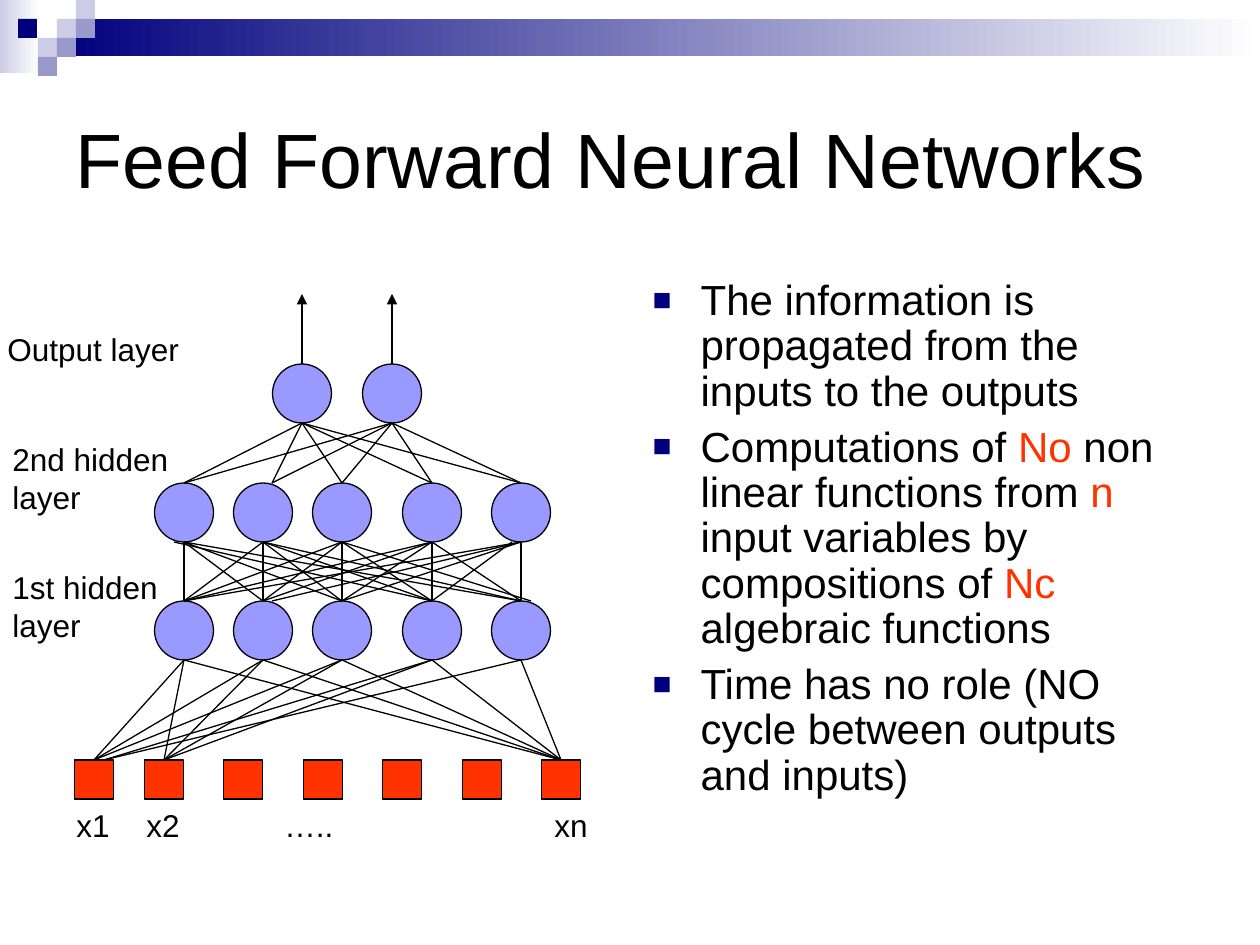
from lxml import etree
from pptx import Presentation
from pptx.dml.color import RGBColor
from pptx.enum.shapes import MSO_CONNECTOR, MSO_SHAPE
from pptx.enum.text import MSO_ANCHOR, MSO_AUTO_SIZE, PP_ALIGN
from pptx.oxml.ns import qn
from pptx.util import Pt

RECTANGLE, OVAL = MSO_SHAPE.RECTANGLE, MSO_SHAPE.OVAL
STRAIGHT = MSO_CONNECTOR.STRAIGHT
LEFT, MIDDLE, TOP = PP_ALIGN.LEFT, MSO_ANCHOR.MIDDLE, MSO_ANCHOR.TOP
NO_AUTOFIT, GROW = MSO_AUTO_SIZE.NONE, MSO_AUTO_SIZE.SHAPE_TO_FIT_TEXT

COLORS = {
    "black": "000000", "white": "FFFFFF", "navy": "00007D", "pale": "CCCCE6",
    "mid": "9999CC", "neuron": "9999FF", "red": "FF3300",
}
FONT = "Arial"
EMU_PER_PX = 914400 / 126

TITLE = "Feed Forward Neural Networks"
# Each bullet is a list of (text, color) runs
BULLETS = [
    [("The information is propagated from the inputs to the outputs", "black")],
    [("Computations of", "black"), (" No", "red"),
     (" non linear functions from ", "black"), ("n", "red"),
     (" input variables by compositions of ", "black"), ("Nc", "red"),
     (" algebraic functions", "black")],
    [("Time has no role (NO cycle between outputs and inputs)", "black")],
]

# Network geometry, relative to the diagram box
NEURON, INPUT = 59, 39
OUTPUT_CENTERS = [228, 318]
HIDDEN_CENTERS = [110, 189, 268, 358, 447]
INPUT_CENTERS = [20] + [90 + round(79.4 * i) for i in range(6)]
OUTPUT_TOP, HIDDEN2_TOP, HIDDEN1_TOP, INPUT_TOP = 70, 189, 307, 466
# Small sideways shifts of link ends: (lower, upper): (lower dx, upper dx)
OUTPUT_SHIFTS = {(1, 0): (9, 0), (1, 1): (9, 0)}
HIDDEN_SHIFTS = {(4, 2): (10, 0), (1, 4): (9, 0), (3, 0): (0, -10), (3, 4): (0, -9)}
INPUT_SHIFTS = {(0, 3): (10, 0), (0, 4): (10, 0)}


def px(value):
    return round(value * EMU_PER_PX)


def rgb(name):
    return RGBColor.from_string(COLORS[name])


def style_font(font, size, color="black"):
    font.name, font.size = FONT, Pt(size)
    font.color.rgb = rgb(color)


def add_block(slide, kind, left, top, width, height, fill, outlined=False):
    shape = slide.shapes.add_shape(kind, px(left), px(top), px(width), px(height))
    shape.shadow.inherit = False
    if isinstance(fill, tuple):
        shape.fill.gradient()
        shape.fill.gradient_angle = 0
        for stop, color, position in zip(shape.fill.gradient_stops, fill, (0, 1)):
            stop.color.rgb = rgb(color)
            stop.position = position
    else:
        shape.fill.solid()
        shape.fill.fore_color.rgb = rgb(fill)
    if outlined:
        shape.line.color.rgb = rgb("black")
        shape.line.width = Pt(0.75)
    else:
        shape.line.fill.background()


def add_line(slide, x1, y1, x2, y2, arrow=False):
    line = slide.shapes.add_connector(STRAIGHT, px(x1), px(y1), px(x2), px(y2))
    line.line.color.rgb = rgb("black")
    line.line.width = Pt(0.75)
    if arrow:
        etree.SubElement(line.line._get_or_add_ln(), qn("a:tailEnd"), type="triangle")
    etree.SubElement(line._element.spPr, qn("a:effectLst"))


def add_label(slide, text, left, top, width, height, wrap=True):
    box = slide.shapes.add_textbox(px(left), px(top), px(width), px(height))
    box.text_frame.text = text
    box.text_frame.word_wrap = wrap
    box.text_frame.auto_size = GROW
    for paragraph in box.text_frame.paragraphs:
        style_font(paragraph.runs[0].font, 18)


def place(shape, box, anchor):
    shape.left, shape.top, shape.width, shape.height = map(px, box)
    shape.text_frame.auto_size = NO_AUTOFIT
    shape.text_frame.vertical_anchor = anchor
    shape.text_frame.word_wrap = True


def add_banner(slide, left, top):
    add_block(slide, RECTANGLE, left, top, 39, 73, ("pale", "white"))
    add_block(slide, RECTANGLE, left + 57, top + 19, 1203, 37, ("navy", "white"))
    squares = [(57, 19, "pale"), (76, 0, "pale"), (76, 19, "mid"), (38, 38, "pale"),
               (18, 19, "navy"), (57, 38, "mid"), (38, 57, "mid")]
    for x, y, color in squares:
        add_block(slide, RECTANGLE, left + x, top + y, 19, 19, color)


def fill_title(shape, box):
    place(shape, box, MIDDLE)
    shape.text_frame.text = TITLE
    paragraph = shape.text_frame.paragraphs[0]
    paragraph.alignment = LEFT
    style_font(paragraph.runs[0].font, 44)


def set_bullet(paragraph):
    properties = paragraph._p.get_or_add_pPr()
    properties.set("marL", str(px(48)))
    properties.set("indent", str(px(-48)))
    color = etree.SubElement(properties, qn("a:buClr"))
    etree.SubElement(color, qn("a:srgbClr"), val=COLORS["navy"])
    etree.SubElement(properties, qn("a:buSzPct"), val="75000")
    etree.SubElement(properties, qn("a:buFont"), typeface=FONT)
    etree.SubElement(properties, qn("a:buChar"), char="■")


def fill_bullets(shape, box):
    place(shape, box, TOP)
    frame = shape.text_frame
    for index, runs in enumerate(BULLETS):
        paragraph = frame.add_paragraph() if index else frame.paragraphs[0]
        set_bullet(paragraph)
        paragraph.alignment = LEFT
        paragraph.line_spacing = 0.9
        paragraph.space_before = Pt(6 if index else 0)
        for text, color in runs:
            run = paragraph.add_run()
            run.text = text
            style_font(run.font, 24, color)


def add_network(slide, left, top):
    def add_row(kind, centers, row_top, size, fill):
        for center in centers:
            add_block(slide, kind, left + center - size / 2, top + row_top,
                      size, size, fill, outlined=True)

    def link(lower, lower_top, upper, upper_top, pairs, shifts):
        for pair in pairs:
            lower_shift, upper_shift = shifts.get(pair, (0, 0))
            add_line(slide, left + lower[pair[0]] + lower_shift, top + lower_top,
                     left + upper[pair[1]] + upper_shift, top + upper_top + NEURON)

    # Nodes
    add_row(OVAL, HIDDEN_CENTERS, HIDDEN1_TOP, NEURON, "neuron")
    add_row(OVAL, HIDDEN_CENTERS, HIDDEN2_TOP, NEURON, "neuron")
    add_row(RECTANGLE, INPUT_CENTERS, INPUT_TOP, INPUT, "red")
    add_row(OVAL, OUTPUT_CENTERS, OUTPUT_TOP, NEURON, "neuron")

    # Links; x2 does not reach the last hidden neuron
    link(HIDDEN_CENTERS, HIDDEN2_TOP, OUTPUT_CENTERS, OUTPUT_TOP,
         [(i, j) for i in range(5) for j in range(2)], OUTPUT_SHIFTS)
    link(HIDDEN_CENTERS, HIDDEN1_TOP, HIDDEN_CENTERS, HIDDEN2_TOP,
         [(i, j) for i in range(5) for j in range(5)], HIDDEN_SHIFTS)
    link(INPUT_CENTERS, INPUT_TOP, HIDDEN_CENTERS, HIDDEN1_TOP,
         [(i, j) for i, count in ((0, 5), (1, 4), (6, 5)) for j in range(count)],
         INPUT_SHIFTS)
    for center in OUTPUT_CENTERS:
        add_line(slide, left + center, top + OUTPUT_TOP, left + center, top, arrow=True)

    # Input and layer labels
    for text, x in (("x1", -10), ("x2", 60), ("xn", 468)):
        add_label(slide, text, left + x, top + 506, 60, 50, wrap=False)
    add_label(slide, "…..", left + 198, top + 506, 247, 50)
    add_label(slide, "1st hidden\nlayer", left - 74, top + 268, 213, 88)
    add_label(slide, "2nd hidden\nlayer", left - 74, top + 140, 213, 88)
    add_label(slide, "Output layer", left - 79, top + 30, 213, 50)


def main():
    presentation = Presentation()
    presentation.slide_width, presentation.slide_height = px(1260), px(945)
    slide = presentation.slides.add_slide(presentation.slide_layouts[1])
    add_banner(slide, 0, 0)
    fill_title(slide.shapes.title, (63, 63, 1134, 189))
    fill_bullets(slide.placeholders[1], (640, 273, 557, 536))
    add_network(slide, 74, 294)
    presentation.save("out.pptx")


if __name__ == "__main__":
    main()
